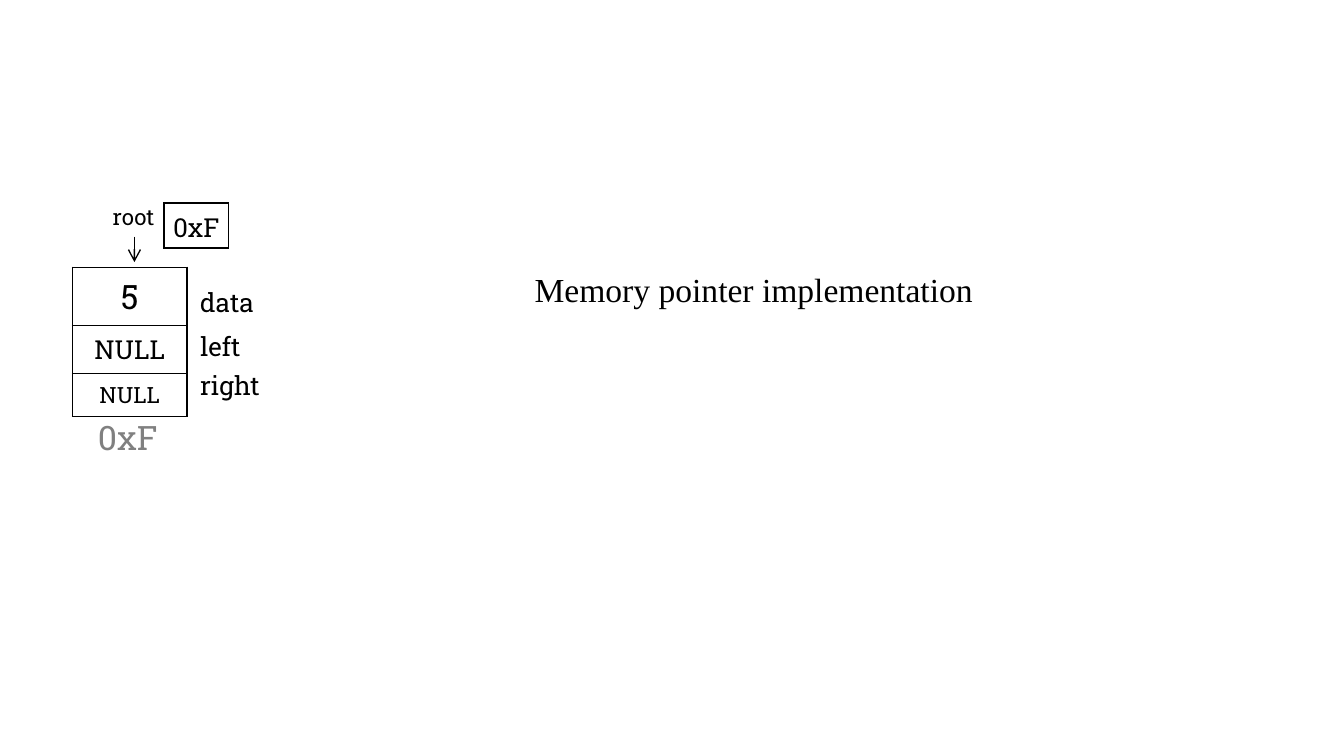
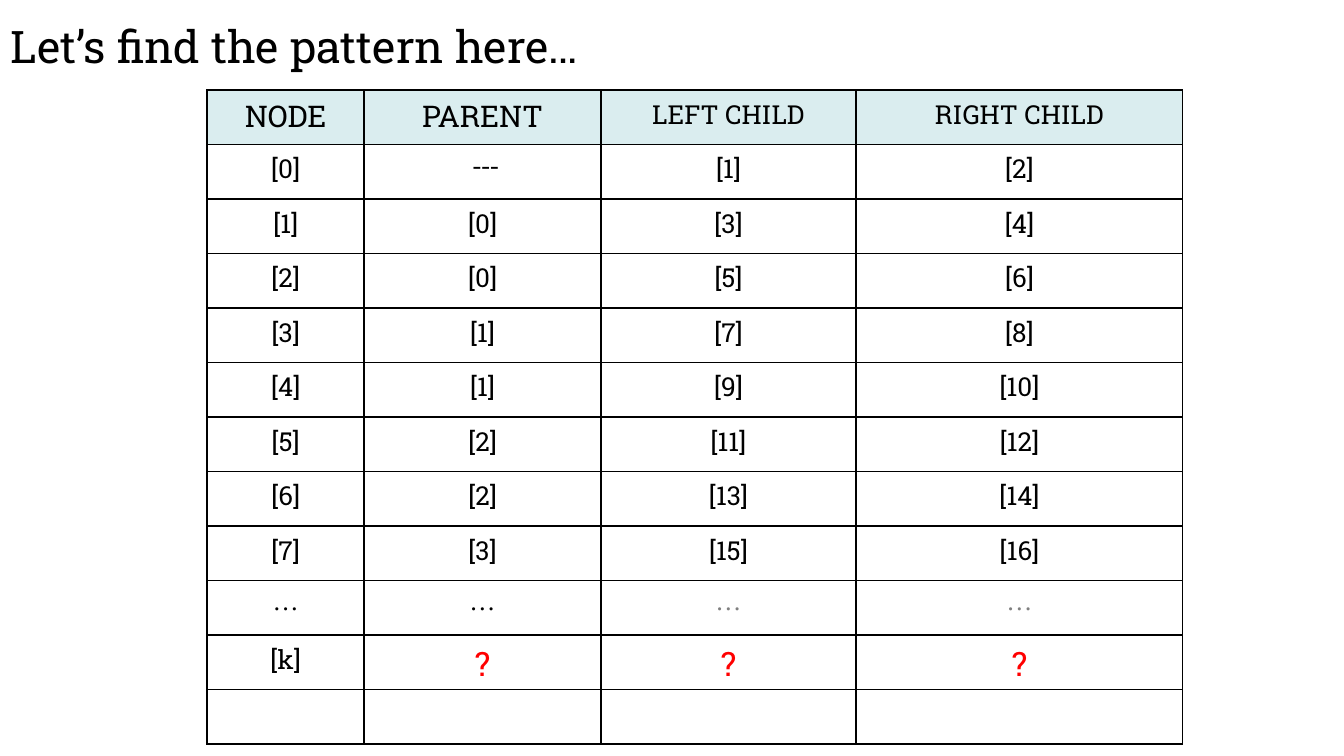
from lxml import etree
from pptx import Presentation
from pptx.dml.color import RGBColor
from pptx.enum import shapes, text
from pptx.oxml import ns
from pptx.util import Inches, Pt

COLORS = {"ink": "000000", "header": "DAEDEF", "address": "808080",
          "muted": "7F7F7F", "question": "FF0000", "background": "FFFFFF"}
SLAB = "Roboto Slab"
SERIF = "Times New Roman"


def add_run(paragraph, words, size, font=SLAB, color="ink"):
    """Add one formatted run to a paragraph."""
    run = paragraph.add_run()
    run.text = words
    run.font.size = Pt(size)
    run.font.name = font
    run.font.bold = False
    run.font.color.rgb = RGBColor.from_string(COLORS[color])


def add_label(slide, box, words, size, font=SLAB, color="ink", wrap=False):
    """Place a one-line text box at box (left, top, width, height)."""
    frame = slide.shapes.add_textbox(*map(Inches, box)).text_frame
    frame.word_wrap = wrap
    frame.auto_size = text.MSO_AUTO_SIZE.SHAPE_TO_FIT_TEXT
    add_run(frame.paragraphs[0], words, size, font, color)


def add_borders(cell):
    """Draw a one-point line on every side of a cell."""
    properties = cell._tc.get_or_add_tcPr()
    for side in ("a:lnL", "a:lnR", "a:lnT", "a:lnB"):
        line = etree.SubElement(properties, ns.qn(side), w=str(Pt(1)))
        fill = etree.SubElement(line, ns.qn("a:solidFill"))
        etree.SubElement(fill, ns.qn("a:srgbClr"), val=COLORS["ink"])


def add_grid(slide, left, top, widths, heights, rows, header=False):
    """Place a ruled table whose cells are tuples of add_run arguments."""
    box = map(Inches, (left, top, sum(widths), sum(heights)))
    table = slide.shapes.add_table(len(heights), len(widths), *box).table
    table.first_row = table.horz_banding = False
    for column, width in zip(table.columns, widths):
        column.width = Inches(width)
    for row, height in zip(table.rows, heights):
        row.height = Inches(height)
    for row_index, row in enumerate(rows):
        for column_index, content in enumerate(row):
            cell = table.cell(row_index, column_index)
            add_borders(cell)
            if header and row_index == 0:
                cell.fill.solid()
                cell.fill.fore_color.rgb = RGBColor.from_string(COLORS["header"])
            else:
                cell.fill.background()
            if content:
                paragraph = cell.text_frame.paragraphs[0]
                paragraph.alignment = text.PP_ALIGN.CENTER
                add_run(paragraph, *content)
    return table


def add_arrow(slide, start, end):
    """Draw a thin line with an open arrowhead at its end."""
    arrow = slide.shapes.add_connector(
        shapes.MSO_CONNECTOR.STRAIGHT, *map(Inches, start + end))
    arrow.line.width = Pt(0.75)
    arrow.line.color.rgb = RGBColor.from_string(COLORS["ink"])
    etree.SubElement(arrow.line._get_or_add_ln(), ns.qn("a:tailEnd"), type="arrow")
    etree.SubElement(arrow._element.spPr, ns.qn("a:effectLst"))


def add_node(slide, left, top):
    """Place the tree node, its field names, its address and the root pointer."""
    add_grid(slide, left, top, [0.85], [0.33, 0.27, 0.27],
             [[("5", 18)], [("NULL", 14)], [("NULL", 12)]])
    add_label(slide, (left + 0.09, top + 1.06, 0.65, 0.4), "0xF", 18, color="address")
    for words, offset, width in (("data", 0.09, 0.61), ("left", 0.42, 0.51),
                                 ("right", 0.71, 0.65)):
        add_label(slide, (left + 0.85, top + offset, width, 0.34), words, 14)
    add_label(slide, (left + 0.2, top - 0.53, 0.52, 0.3), "root", 12)
    add_arrow(slide, (left + 0.46, top - 0.23), (left + 0.46, top - 0.04))
    pointer = add_grid(slide, left + 0.68, top - 0.48, [0.48], [0.29], [[("0xF", 14)]])
    cell = pointer.cell(0, 0)
    cell.margin_left = cell.margin_right = 0


def add_pattern_table(slide, left, top, height):
    """Place the table of array indexes for parents and children."""
    rows = [[("NODE", 16), ("PARENT", 16), ("LEFT CHILD", 14), ("RIGHT CHILD", 14)]]
    for node in range(8):
        indexes = (node, (node - 1) // 2, 2 * node + 1, 2 * node + 2)
        rows.append([(f"[{index}]", 14) for index in indexes])
    rows[1][1] = (" ---", 14, SERIF)
    rows.append([("…", 14, SERIF, color) for color in ("ink", "ink", "muted", "muted")])
    rows.append([("[k]", 14)] + [("?", 18, SLAB, "question")] * 3)
    rows.append([None] * 4)
    add_grid(slide, left, top, [1.17, 1.76, 1.9, 2.43],
             [height / len(rows)] * len(rows), rows, header=True)


def add_blank_slide(presentation):
    """Add an empty slide with the shared background."""
    slide = presentation.slides.add_slide(presentation.slide_layouts[6])
    slide.background.fill.solid()
    slide.background.fill.fore_color.rgb = RGBColor.from_string(COLORS["background"])
    return slide


def build_pointer_slide(presentation):
    """Build the slide on memory pointers."""
    slide = add_blank_slide(presentation)
    add_node(slide, 0.54, 1.99)
    add_label(slide, (3.88, 1.95, 3.74, 0.4), "Memory pointer implementation ",
              18, SERIF, wrap=True)


def build_pattern_slide(presentation):
    """Build the slide on the index pattern."""
    slide = add_blank_slide(presentation)
    add_label(slide, (-0.02, 0.09, 4.51, 0.5), "Let’s find the pattern here…", 24)
    add_pattern_table(slide, 1.54, 0.67, 4.87)


def main():
    """Build and save the presentation in a 16:9 format."""
    presentation = Presentation()
    presentation.slide_width = Inches(10)
    presentation.slide_height = Inches(10) * 9 // 16
    build_pointer_slide(presentation)
    build_pattern_slide(presentation)
    presentation.save("out.pptx")


main()
